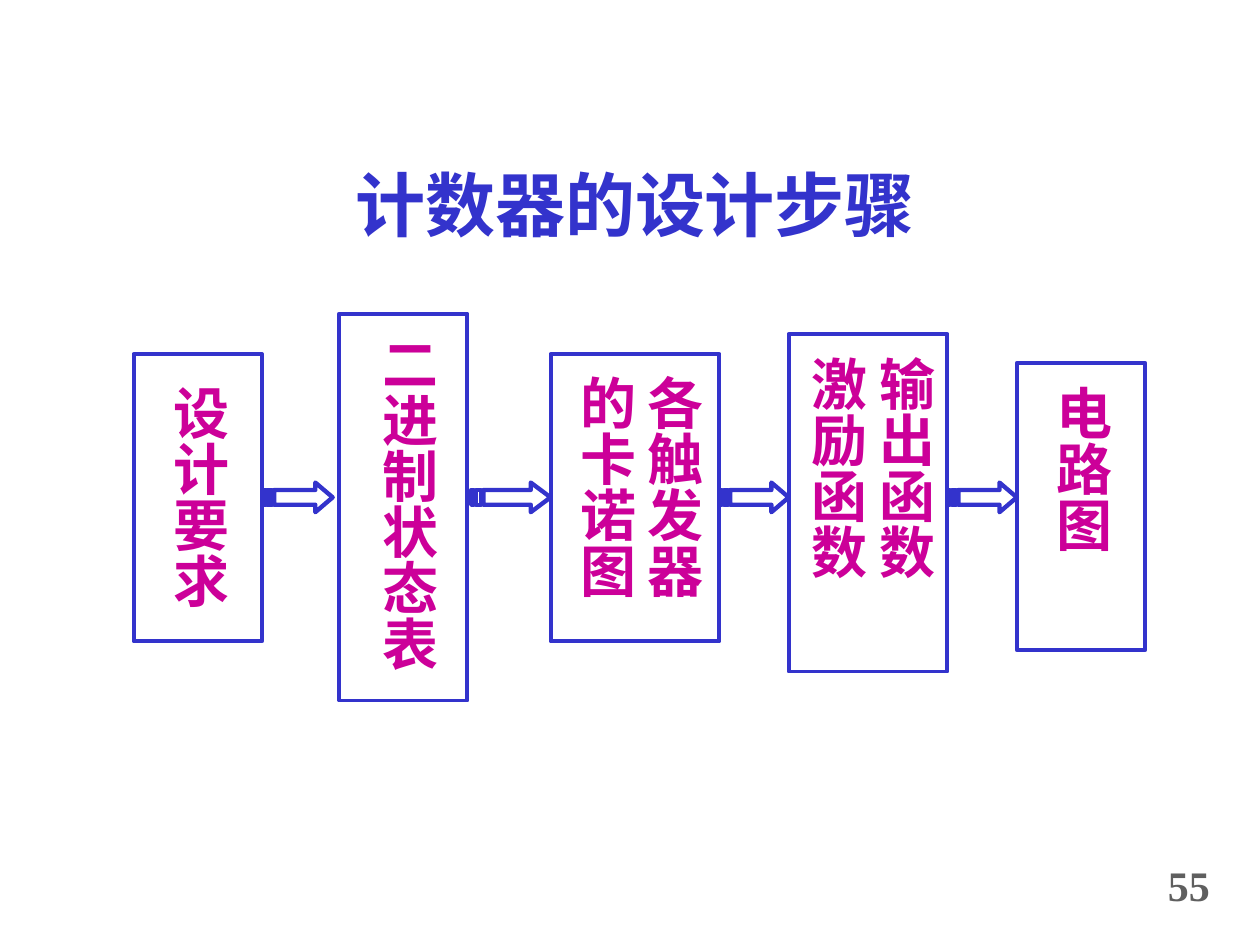
from dataclasses import dataclass
from pptx import Presentation, util as u
from pptx.dml.color import RGBColor
from pptx.enum import shapes, text
from pptx.oxml.ns import qn


@dataclass(frozen=True)
class Theme:
    blue: str = "3333CC"
    magenta: str = "CC0099"
    grey: str = "5F5F5F"
    white: str = "FFFFFF"
    latin: str = "Times New Roman"
    chinese: str = "Noto Sans CJK SC"
    title_size: int = 40
    step_size: int = 32
    number_size: int = 24
    box_line: float = 2.25
    arrow_line: float = 2.5


THEME = Theme()

# Places are left, top, width, height on a grid of 100 columns by 75 rows.
COLUMNS, ROWS = 100, 75
TITLE = ("计数器的设计步骤", (7.5, 12.3, 85.8, 7.7))
PAGE_NUMBER = ("55", (91.7, 68.2, 6.3, 4.6))

# Label lines, box, label area, line spacing
STEPS = [
    (["设计要求"], (10.6, 28.1, 10.2, 22.8), (12.2, 29.6, 7.3, 20.5), None),
    (["二进制状态表"], (26.9, 24.9, 10.2, 30.7), (28.8, 25.7, 7.3, 29.3), None),
    (["各触发器的卡诺图"], (43.7, 28.1, 13.4, 22.8), (44.5, 28.8, 12.6, 21.3), None),
    (["输出函数", "激励函数"], (62.6, 26.5, 12.6, 26.8), (63.9, 27.3, 8.6, 24.4), 0.5),
    (["电路图"], (80.7, 28.8, 10.2, 22.8), (82.3, 29.6, 7.3, 21.3), None),
]
ARROW_SPANS = [(20.9, 26.4), (37.4, 43.7), (57.1, 62.6), (75.2, 80.7)]
ARROW_TOP, ARROW_HEIGHT = 38.3, 2.35
LAST_STEP_DRAWN = 2  # this box covers the tip of the arrow that enters it

deck = Presentation()
deck.slide_width, deck.slide_height = u.Inches(10), u.Inches(7.5)
slide = deck.slides.add_slide(deck.slide_layouts[6])


def x(column):
    return round(deck.slide_width * column / COLUMNS)


def y(row):
    return round(deck.slide_height * row / ROWS)


def on_grid(place):
    left, top, width, height = place
    return x(left), y(top), x(width), y(height)


def outline(shape, width):
    shape.shadow.inherit = False
    shape.fill.solid()
    shape.fill.fore_color.rgb = RGBColor.from_string(THEME.white)
    shape.line.color.rgb = RGBColor.from_string(THEME.blue)
    shape.line.width = u.Pt(width)


def add_text(lines, place, size, color, latin=THEME.latin, align=text.PP_ALIGN.CENTER,
             anchor=text.MSO_ANCHOR.MIDDLE, spacing=None, vertical=False):
    frame = slide.shapes.add_textbox(*on_grid(place)).text_frame
    frame.word_wrap = True
    frame.vertical_anchor = anchor
    if vertical:
        frame._txBody.bodyPr.set("vert", "eaVert")
        frame.margin_left = frame.margin_right = u.Inches(0.05)
        frame.margin_top = frame.margin_bottom = u.Inches(0.1)
    frame.text = "\n".join(lines)
    for index, paragraph in enumerate(frame.paragraphs):
        paragraph.alignment = align
        paragraph.line_spacing = spacing
        if index:
            paragraph.space_before = u.Pt(20)
        for run in paragraph.runs:
            run.font.size, run.font.bold, run.font.name = u.Pt(size), True, latin
            run.font.color.rgb = RGBColor.from_string(color)
            east_asian = run.font._element.makeelement(qn("a:ea"), {"typeface": THEME.chinese})
            run.font._element.find(qn("a:latin")).addnext(east_asian)


def add_step(lines, box, label, spacing):
    outline(slide.shapes.add_shape(shapes.MSO_SHAPE.RECTANGLE, *on_grid(box)), THEME.box_line)
    add_text(lines, label, THEME.step_size, THEME.magenta, spacing=spacing, vertical=True)


def add_striped_arrow(start, end):
    """Outline an arrow with two tail stripes, all in shares of its length and height."""
    def bar(left, right):
        return [(left, 1 / 4), (right, 1 / 4), (right, 3 / 4), (left, 3 / 4)]

    body = [(5 / 32, 1 / 4), (3 / 4, 1 / 4), (3 / 4, 0), (1, 1 / 2),
            (3 / 4, 1), (3 / 4, 3 / 4), (5 / 32, 3 / 4)]
    contours = [[(x(start + (end - start) * across), y(ARROW_TOP + ARROW_HEIGHT * down))
                 for across, down in contour]
                for contour in (body, bar(0, 1 / 32), bar(1 / 16, 1 / 8))]
    builder = slide.shapes.build_freeform(*contours[0][0])
    for index, contour in enumerate(contours):
        if index:
            builder.move_to(*contour[0])
        builder.add_line_segments(contour[1:], close=True)
    outline(builder.convert_to_shape(), THEME.arrow_line)


for index, step in enumerate(STEPS):
    if index != LAST_STEP_DRAWN:
        add_step(*step)
for span in ARROW_SPANS:
    add_striped_arrow(*span)
add_step(*STEPS[LAST_STEP_DRAWN])

title, title_place = TITLE
add_text([title], title_place, THEME.title_size, THEME.blue, latin=THEME.chinese)
number, number_place = PAGE_NUMBER
add_text([number], number_place, THEME.number_size, THEME.grey, align=text.PP_ALIGN.LEFT,
         anchor=text.MSO_ANCHOR.TOP, spacing=0.9)

deck.save("out.pptx")
